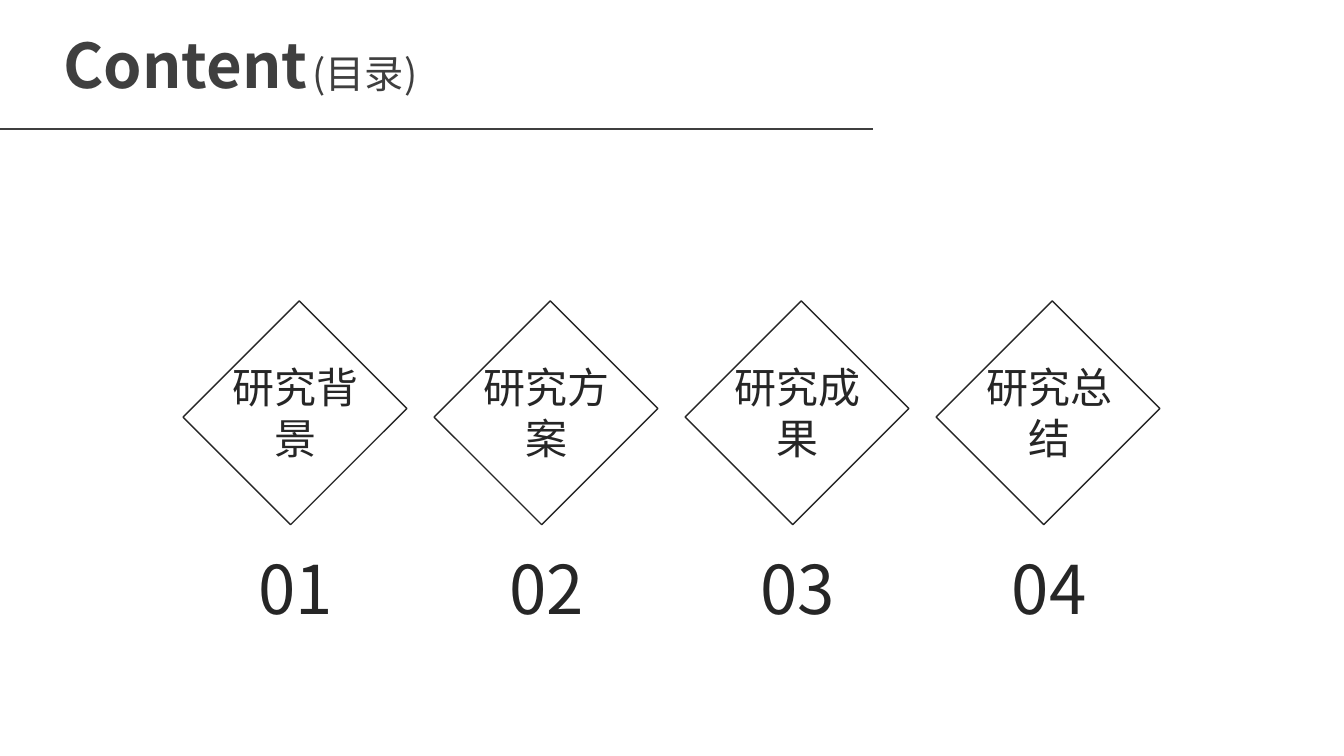
from dataclasses import dataclass

from lxml.etree import SubElement
from pptx import Presentation
from pptx.dml.color import RGBColor
from pptx.enum.shapes import MSO_CONNECTOR, MSO_SHAPE
from pptx.enum.text import MSO_ANCHOR, MSO_AUTO_SIZE, PP_ALIGN
from pptx.oxml.ns import qn
from pptx.util import Inches, Pt


@dataclass(frozen=True)
class Theme:
    font: str = "Noto Sans CJK SC"
    heading: RGBColor = RGBColor(0x3F, 0x3F, 0x3F)
    ink: RGBColor = RGBColor(0x26, 0x26, 0x26)
    title_size: int = 44
    gap_size: int = 14
    subtitle_size: int = 28
    topic_size: int = 30
    number_size: int = 48


THEME = Theme()
TOPICS = ["研究背景", "研究方案", "研究成果", "研究总结"]
FIRST_LEFT = 2.11
PITCH = 2.49


def add_run(paragraph, words, size, color, bold=False):
    run = paragraph.add_run()
    run.text = words
    run.font.name = THEME.font
    run.font.size = Pt(size)
    run.font.bold = bold
    run.font.color.rgb = color
    SubElement(run.font._element, qn("a:ea"), typeface=THEME.font)


def add_text_box(slide, left, top, width, height):
    box = slide.shapes.add_textbox(
        Inches(left), Inches(top), Inches(width), Inches(height))
    box.text_frame.word_wrap = True
    return box.text_frame


def add_heading(slide):
    frame = add_text_box(slide, 0.53, 0.32, 10.71, 0.71)
    frame.vertical_anchor = MSO_ANCHOR.MIDDLE
    heading = frame.paragraphs[0]
    heading.line_spacing = 0.9
    add_run(heading, "Content", THEME.title_size, THEME.heading, bold=True)
    add_run(heading, " ", THEME.gap_size, THEME.heading, bold=True)
    add_run(heading, "(目录)", THEME.subtitle_size, THEME.heading)


def add_rule(slide):
    rule = slide.shapes.add_connector(
        MSO_CONNECTOR.STRAIGHT, Inches(0), Inches(1.28), Inches(8.66), Inches(1.28))
    rule.line.color.rgb = THEME.heading
    rule.line.width = Pt(1.25)
    SubElement(rule._element.spPr, qn("a:effectLst"))


def add_diamond(slide, left):
    diamond = slide.shapes.add_shape(
        MSO_SHAPE.RECTANGLE, Inches(left), Inches(3.34), Inches(1.63), Inches(1.51))
    diamond.rotation = 315
    diamond.shadow.inherit = False
    diamond.fill.background()
    diamond.line.color.rgb = THEME.ink
    diamond.line.width = Pt(1)


def add_label(slide, words, left, top, height, size):
    frame = add_text_box(slide, left, top, 1.47, height)
    frame.auto_size = MSO_AUTO_SIZE.SHAPE_TO_FIT_TEXT
    label = frame.paragraphs[0]
    label.alignment = PP_ALIGN.CENTER
    add_run(label, words, size, THEME.ink)


def main():
    deck = Presentation()
    deck.slide_width = Inches(13.33)
    deck.slide_height = Inches(7.5)
    slide = deck.slides.add_slide(deck.slide_layouts[6])

    add_rule(slide)
    add_heading(slide)
    for index, topic in enumerate(TOPICS):
        left = FIRST_LEFT + index * PITCH
        add_diamond(slide, left)
        add_label(slide, topic, left + 0.09, 3.54, 1.11, THEME.topic_size)
        add_label(slide, f"{index + 1:02}", left + 0.09, 5.38, 0.91, THEME.number_size)

    deck.save("out.pptx")


if __name__ == "__main__":
    main()
